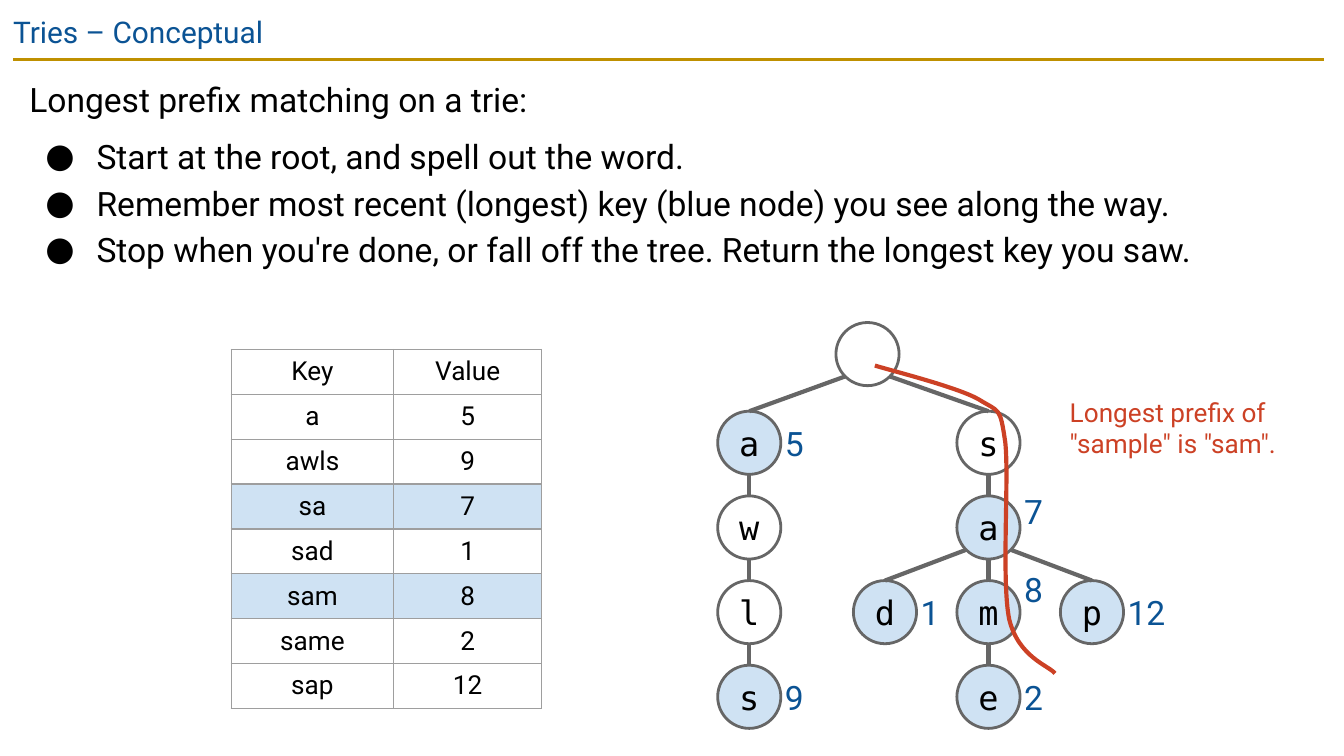
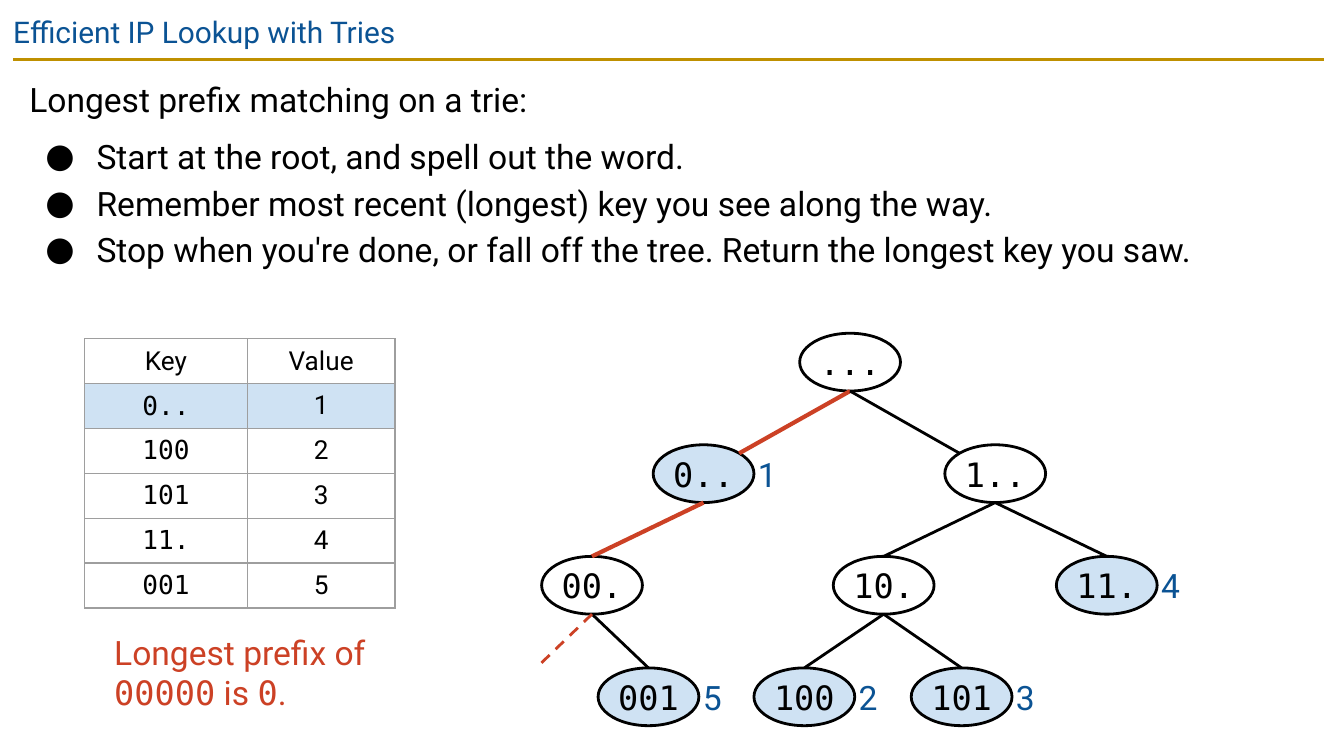
from math import cos, radians, sin

from lxml import etree
from pptx import Presentation
from pptx.dml.color import RGBColor
from pptx.enum.dml import MSO_LINE
from pptx.enum.shapes import MSO_CONNECTOR, MSO_SHAPE
from pptx.enum.text import MSO_ANCHOR, PP_ALIGN
from pptx.oxml.ns import qn
from pptx.util import Inches, Pt

STRAIGHT = MSO_CONNECTOR.STRAIGHT
ELLIPSE = MSO_SHAPE.OVAL
DASH = MSO_LINE.DASH
MIDDLE = MSO_ANCHOR.MIDDLE
TOP = MSO_ANCHOR.TOP
CENTER = PP_ALIGN.CENTER
LEFT = PP_ALIGN.LEFT

SANS, MONO = "Roboto", "DejaVu Sans Mono"
BLUE, GOLD, RED = "0B5394", "BF9000", "CC4125"
KEY_FILL, WHITE, BLACK = "CFE2F3", "FFFFFF", "000000"
NODE_GRAY, GRID_GRAY = "666666", "9E9E9E"
ANGLES = {"top": -90, "top left": -135, "top right": -45,
          "bottom": 90, "bottom left": 135, "bottom right": 45}


def color(value):
    return RGBColor.from_string(value)


def site(node, name):
    angle = radians(ANGLES[name])
    return (node.left + node.width * (1 + cos(angle)) / 2,
            node.top + node.height * (1 + sin(angle)) / 2)


class Deck:
    def __init__(self):
        self.presentation = Presentation()
        self.presentation.slide_width = Inches(10)
        self.presentation.slide_height = Inches(10 * 9 / 16)
        self.slide = None

    def start(self, title, steps):
        self.slide = self.presentation.slides.add_slide(self.presentation.slide_layouts[6])
        self.line((Inches(0.1), Inches(0.44)), (Inches(9.85), Inches(0.44)), GOLD, 1.5)
        self.text(0, 0, 10, 0.43, [title], 16, BLUE, inset=0.1)
        body = self.text(0.12, 0.44, 9.74, 1.83,
                         ["Longest prefix matching on a trie:", *steps], 18, BLACK,
                         inset=0.1, first_bullet=1)
        for paragraph in body.paragraphs:
            paragraph.line_spacing = 1.15
        body.paragraphs[1].space_before = Pt(6)

    def bullet(self, paragraph):
        properties = paragraph._p.get_or_add_pPr()
        properties.set("marL", str(Inches(0.5)))
        properties.set("indent", str(Inches(-0.38)))
        tint = etree.SubElement(properties, qn("a:buClr"))
        etree.SubElement(tint, qn("a:srgbClr"), val=BLACK)
        etree.SubElement(properties, qn("a:buSzPts"), val="1800")
        etree.SubElement(properties, qn("a:buFont"), typeface=SANS)
        etree.SubElement(properties, qn("a:buChar"), char="●")

    def style(self, font, size, hue, face=SANS):
        font.name, font.size = face, Pt(size)
        font.color.rgb = color(hue)

    def fill_frame(self, frame, lines, size, hue, face=SANS, inset=0.0,
                   align=LEFT, anchor=TOP, first_bullet=None):
        frame.word_wrap = True
        frame.vertical_anchor = anchor
        frame.margin_left = frame.margin_right = Inches(inset)
        frame.margin_top = frame.margin_bottom = Inches(inset)
        for index, line in enumerate(lines):
            paragraph = frame.add_paragraph() if index else frame.paragraphs[0]
            paragraph.text = line
            paragraph.alignment = align
            if first_bullet is not None and index >= first_bullet:
                self.bullet(paragraph)
            self.style(paragraph.font, size, hue, face)

    def text(self, left, top, width, height, lines, size, hue, inset=0.0, first_bullet=None):
        box = self.slide.shapes.add_textbox(Inches(left), Inches(top), Inches(width), Inches(height))
        self.fill_frame(box.text_frame, lines, size, hue, inset=inset, first_bullet=first_bullet)
        return box.text_frame

    def mixed_text(self, left, top, width, height, pieces, size, hue):
        paragraph = self.text(left, top, width, height, [""], size, hue).paragraphs[0]
        for piece, face in pieces:
            run = paragraph.add_run()
            run.text = piece
            self.style(run.font, size, hue, face)

    def line(self, begin, end, hue, weight, dash=None):
        connector = self.slide.shapes.add_connector(STRAIGHT, *map(int, (*begin, *end)))
        connector.line.color.rgb = color(hue)
        connector.line.width = Pt(weight)
        if dash is not None:
            connector.line.dash_style = dash
        etree.SubElement(connector._element.spPr, qn("a:effectLst"))
        return connector

    def edge(self, parent, child, hue, weight, leave="bottom", arrive="top"):
        connector = self.line(site(parent, leave), site(child, arrive), hue, weight)
        if arrive == "top":
            connector.end_connect(child, 0)

    def node(self, left, top, width, height, letters, outline, value=None, lift=0.0):
        oval = self.slide.shapes.add_shape(
            ELLIPSE, Inches(left), Inches(top), Inches(width), Inches(height))
        oval.shadow.inherit = False
        oval.fill.solid()
        oval.fill.fore_color.rgb = color(KEY_FILL if value else WHITE)
        oval.line.color.rgb = color(outline)
        oval.line.width = Pt(1.5)
        if letters:
            self.fill_frame(oval.text_frame, [letters], 18, BLACK, MONO,
                            align=CENTER, anchor=MIDDLE)
        if value:
            self.text(left + width, top + (height - 0.36) / 2 - lift,
                      0.11 + 0.13 * len(value), 0.36, [value], 18, BLUE, inset=0.03)
        return oval

    def curve(self, points, hue, weight):
        start, *rest = [(Inches(x), Inches(y)) for x, y in points]
        builder = self.slide.shapes.build_freeform(*start)
        builder.add_line_segments(rest, close=False)
        trace = builder.convert_to_shape()
        trace.shadow.inherit = False
        trace.fill.background()
        trace.line.color.rgb = color(hue)
        trace.line.width = Pt(weight)
        segments = list(trace._element.iter(qn("a:lnTo")))
        for first in range(0, len(segments), 3):
            bezier = etree.Element(qn("a:cubicBezTo"))
            segments[first].addprevious(bezier)
            for segment in segments[first:first + 3]:
                bezier.append(segment[0])
                segment.getparent().remove(segment)

    def border(self, cell):
        properties = cell._tc.get_or_add_tcPr()
        for side in ("lnL", "lnR", "lnT", "lnB"):
            edge = etree.SubElement(properties, qn("a:" + side), w=str(Pt(0.75)))
            paint = etree.SubElement(edge, qn("a:solidFill"))
            etree.SubElement(paint, qn("a:srgbClr"), val=GRID_GRAY)

    def key_table(self, left, top, entries, matches, key_face=SANS):
        rows = [("Key", "Value"), *entries]
        table = self.slide.shapes.add_table(
            len(rows), 2, Inches(left), Inches(top), Inches(2.31), Inches(len(rows) / 3)).table
        table.first_row = table.horz_banding = False
        table.columns[0].width, table.columns[1].width = Inches(1.21), Inches(1.1)
        for row, entry in enumerate(rows):
            for column, content in enumerate(entry):
                cell = table.cell(row, column)
                self.border(cell)
                if entry[0] in matches:
                    cell.fill.solid()
                    cell.fill.fore_color.rgb = color(KEY_FILL)
                else:
                    cell.fill.background()
                cell.vertical_anchor = MIDDLE
                cell.margin_left = cell.margin_right = Inches(0.05)
                cell.margin_top = cell.margin_bottom = Inches(0.05)
                paragraph = cell.text_frame.paragraphs[0]
                paragraph.text = content
                paragraph.alignment = CENTER
                face = key_face if row and column == 0 else SANS
                self.style(paragraph.font, 14, BLACK, face)


def conceptual_slide(deck):
    deck.start("Tries – Conceptual", [
        "Start at the root, and spell out the word.",
        "Remember most recent (longest) key (blue node) you see along the way.",
        "Stop when you're done, or fall off the tree. Return the longest key you saw.",
    ])
    values = {"a": "5", "awls": "9", "sa": "7", "sad": "1", "sam": "8", "same": "2", "sap": "12"}
    lefts = {"a": 5.34, "aw": 5.34, "awl": 5.34, "awls": 5.34, "s": 7.12, "sa": 7.12,
             "sad": 6.35, "sam": 7.12, "same": 7.12, "sap": 7.89}
    lifts = {"sa": 0.12, "sam": 0.17}
    leaves = {"a": "bottom left", "s": "bottom right", "sad": "bottom left", "sap": "bottom right"}
    nodes = {"": deck.node(6.22, 2.4, 0.47, 0.47, "", NODE_GRAY)}
    for prefix, left in lefts.items():
        nodes[prefix] = deck.node(left, 3.06 + 0.63 * (len(prefix) - 1), 0.47, 0.47, prefix[-1],
                                  NODE_GRAY, values.get(prefix), lifts.get(prefix, 0))
    for prefix in lefts:
        deck.edge(nodes[prefix[:-1]], nodes[prefix], NODE_GRAY, 2.25, leaves.get(prefix, "bottom"))
    deck.curve([(6.51, 2.72), (6.64, 2.76), (7.12, 2.88), (7.28, 2.97),
                (7.44, 3.07), (7.44, 3.02), (7.48, 3.29),
                (7.51, 3.56), (7.45, 4.32), (7.51, 4.61),
                (7.58, 4.89), (7.8, 4.95), (7.85, 5.01)], RED, 2.25)
    deck.key_table(1.72, 2.6, values.items(), {"sa", "sam"})
    deck.text(7.96, 2.95, 1.57, 0.47, ['Longest prefix of "sample" is "sam".'], 14, RED)


def lookup_slide(deck):
    deck.start("Efficient IP Lookup with Tries", [
        "Start at the root, and spell out the word.",
        "Remember most recent (longest) key you see along the way.",
        "Stop when you're done, or fall off the tree. Return the longest key you saw.",
    ])
    values = {"0..": "1", "100": "2", "101": "3", "11.": "4", "001": "5"}
    lefts = {"...": 5.95, "0..": 4.86, "1..": 7.03, "00.": 4.03, "10.": 6.2, "11.": 7.86,
             "001": 4.45, "100": 5.61, "101": 6.78}
    nodes = {}
    for prefix, left in lefts.items():
        level = len(prefix.rstrip("."))
        nodes[prefix] = deck.node(left, 2.48 + 0.83 * level, 0.75, 0.43, prefix,
                                  BLACK, values.get(prefix))
    arrivals = {"0..": "top right", "1..": "top left"}
    for prefix in list(lefts)[1:]:
        parent = prefix.rstrip(".")[:-1].ljust(3, ".")
        hue, weight = (RED, 2.25) if prefix in ("0..", "00.") else (BLACK, 1.5)
        deck.edge(nodes[parent], nodes[prefix], hue, weight, arrive=arrivals.get(prefix, "top"))
    deck.line(site(nodes["00."], "bottom"), (Inches(3.99), Inches(4.97)), RED, 1.5, DASH)
    deck.key_table(0.63, 2.52, values.items(), {"0.."}, MONO)
    deck.mixed_text(0.85, 4.7, 2.02, 0.61, [
        ("Longest prefix of ", SANS), ("00000", MONO), (" is ", SANS), ("0", MONO), (".", SANS),
    ], 18, RED)


def main():
    deck = Deck()
    conceptual_slide(deck)
    lookup_slide(deck)
    deck.presentation.save("out.pptx")


if __name__ == "__main__":
    main()
